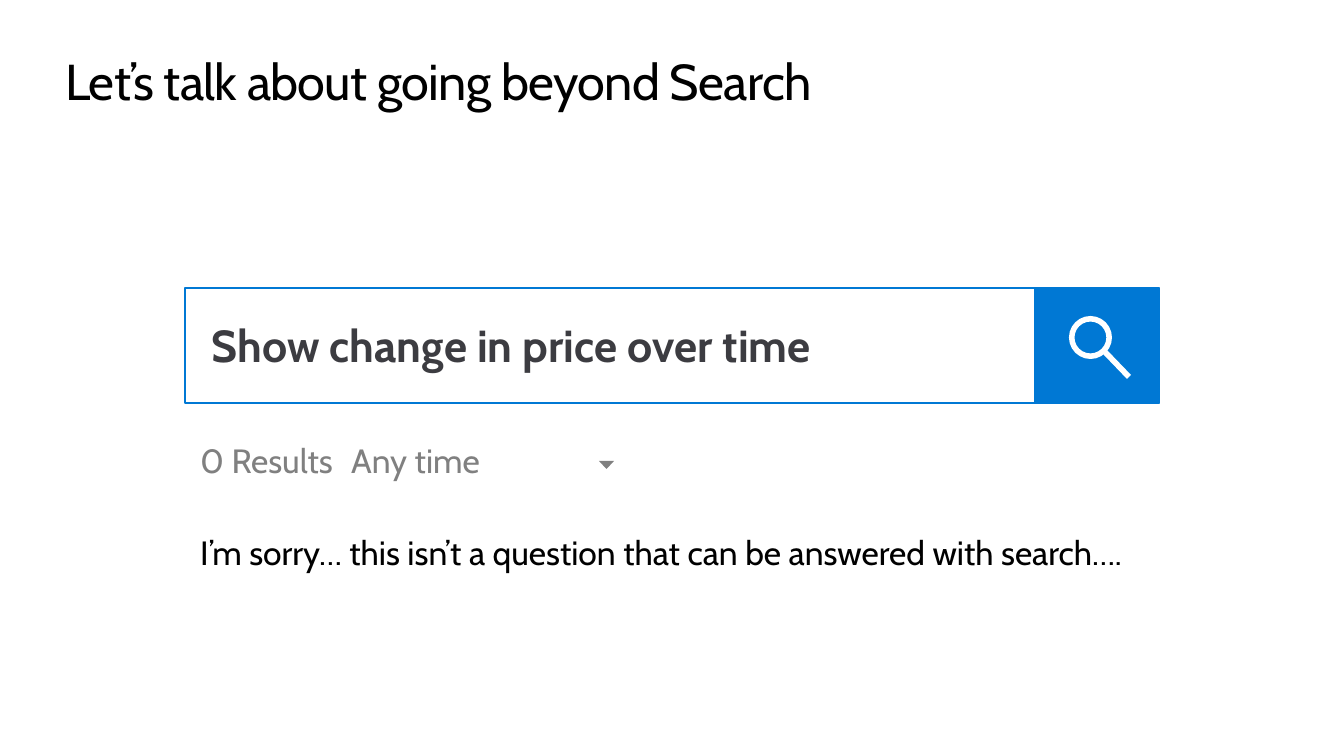
import pptx
import pptx.dml.color
import pptx.enum.shapes
import pptx.enum.text
import pptx.oxml
import pptx.oxml.ns
import pptx.util

PX = 914400 / 100.8
FONT = "Cabin"
BLUE, WHITE, BLACK, GREY, CHARCOAL = "0078D4", "FFFFFF", "000000", "808080", "3C3C41"
SHAPES = pptx.enum.shapes.MSO_SHAPE
FRAME = {
    "margin_left": 0, "margin_top": 0, "margin_right": 0, "margin_bottom": 0,
    "word_wrap": True,
    "auto_size": pptx.enum.text.MSO_AUTO_SIZE.NONE,
    "vertical_anchor": pptx.enum.text.MSO_ANCHOR.TOP,
}


def px(length):
    return pptx.util.Emu(round(length * PX))


def color(value):
    return pptx.dml.color.RGBColor.from_string(value)


def set_attributes(target, values):
    for name, value in values.items():
        setattr(target, name, value)


def place(shape, box):
    set_attributes(shape, dict(zip(("left", "top", "width", "height"), map(px, box))))


def add_text(paragraph, text, size, fill, bold=False):
    run = paragraph.add_run()
    run.text = text
    paragraph.alignment = pptx.enum.text.PP_ALIGN.LEFT
    set_attributes(run.font, {"name": FONT, "size": pptx.util.Pt(size), "bold": bold})
    run.font.color.rgb = color(fill)
    return run


def paint(shape, fill, line=None):
    shape.shadow.inherit = False
    shape.fill.solid()
    shape.fill.fore_color.rgb = color(fill)
    if line:
        shape.line.color.rgb = color(line)
        shape.line.width = pptx.util.Pt(1.5)
    else:
        shape.line.fill.background()


def add_preset(shapes, kind, box, fill, line=None):
    shape = shapes.add_shape(kind, *map(px, box))
    paint(shape, fill, line)
    return shape


def set_title(slide, box):
    title = slide.shapes.title
    place(title, box)
    set_attributes(title.text_frame, FRAME)
    run = add_text(title.text_frame.paragraphs[0], "Let’s talk about going beyond Search", 36, BLACK)
    run.font._element.set("spc", "-50")


def set_results(slide, box):
    """Fill the body with the result count, the time filter and the apology."""
    left, top, width, height = box
    body = slide.placeholders[1]
    place(body, box)
    frame = body.text_frame
    set_attributes(frame, FRAME | {"margin_left": px(25)})
    filters, apology = frame.paragraphs[0], frame.add_paragraph()
    namespace = pptx.oxml.ns.nsdecls("a")
    for paragraph in (filters, apology):
        properties = paragraph._p.get_or_add_pPr()
        properties.set("marL", "0")
        properties.set("indent", "0")
        properties.append(pptx.oxml.parse_xml(f"<a:buNone {namespace}/>"))
    filters._p.pPr.append(pptx.oxml.parse_xml(
        f'<a:tabLst {namespace}><a:tab pos="{px(238)}" algn="l"/></a:tabLst>'))
    filters.space_before = pptx.util.Pt(0)
    apology.space_before = pptx.util.Pt(37)
    add_text(filters, "0 Results\tAny time", 24, GREY)
    add_text(apology, "I’m sorry… this isn’t a question that can be answered with search….", 24, BLACK)
    arrow = add_preset(slide.shapes, SHAPES.ISOSCELES_TRIANGLE, (left + 424, top + 21, 15, 8), GREY)
    arrow.rotation = 180


def add_search_button(slide, box):
    left, top, width, height = box
    shapes = slide.shapes.add_group_shape().shapes
    add_preset(shapes, SHAPES.RECTANGLE, box, BLUE, BLUE)
    corners = [(left + x, top + y) for x, y in ((71, 61), (96, 87), (92, 91), (67, 65))]
    builder = shapes.build_freeform(*corners[0], scale=PX)
    builder.add_line_segments(corners[1:], close=True)
    paint(builder.convert_to_shape(), WHITE)
    lens = add_preset(shapes, SHAPES.DONUT, (left + 34, top + 28, 43, 43), WHITE)
    lens.adjustments[0] = 0.13


def add_search_bar(slide, box):
    left, top, width, height = box
    button_width = 124
    add_preset(slide.shapes, SHAPES.RECTANGLE, box, WHITE, BLUE)
    add_search_button(slide, (left + width - button_width, top, button_width, height))
    query = slide.shapes.add_textbox(*map(px, (left + 27, top + 30, 888, 54)))
    set_attributes(query.text_frame, FRAME)
    add_text(query.text_frame.paragraphs[0], "Show change in price over time", 32, CHARCOAL, bold=True)


def main():
    presentation = pptx.Presentation()
    set_attributes(presentation, {"slide_width": px(1344), "slide_height": px(756)})
    slide = presentation.slides.add_slide(presentation.slide_layouts[1])
    set_title(slide, (65, 50, 1215, 61))
    set_results(slide, (175, 440, 1024, 252))
    add_search_bar(slide, (185, 288, 974, 115))
    presentation.save("out.pptx")


if __name__ == "__main__":
    main()
